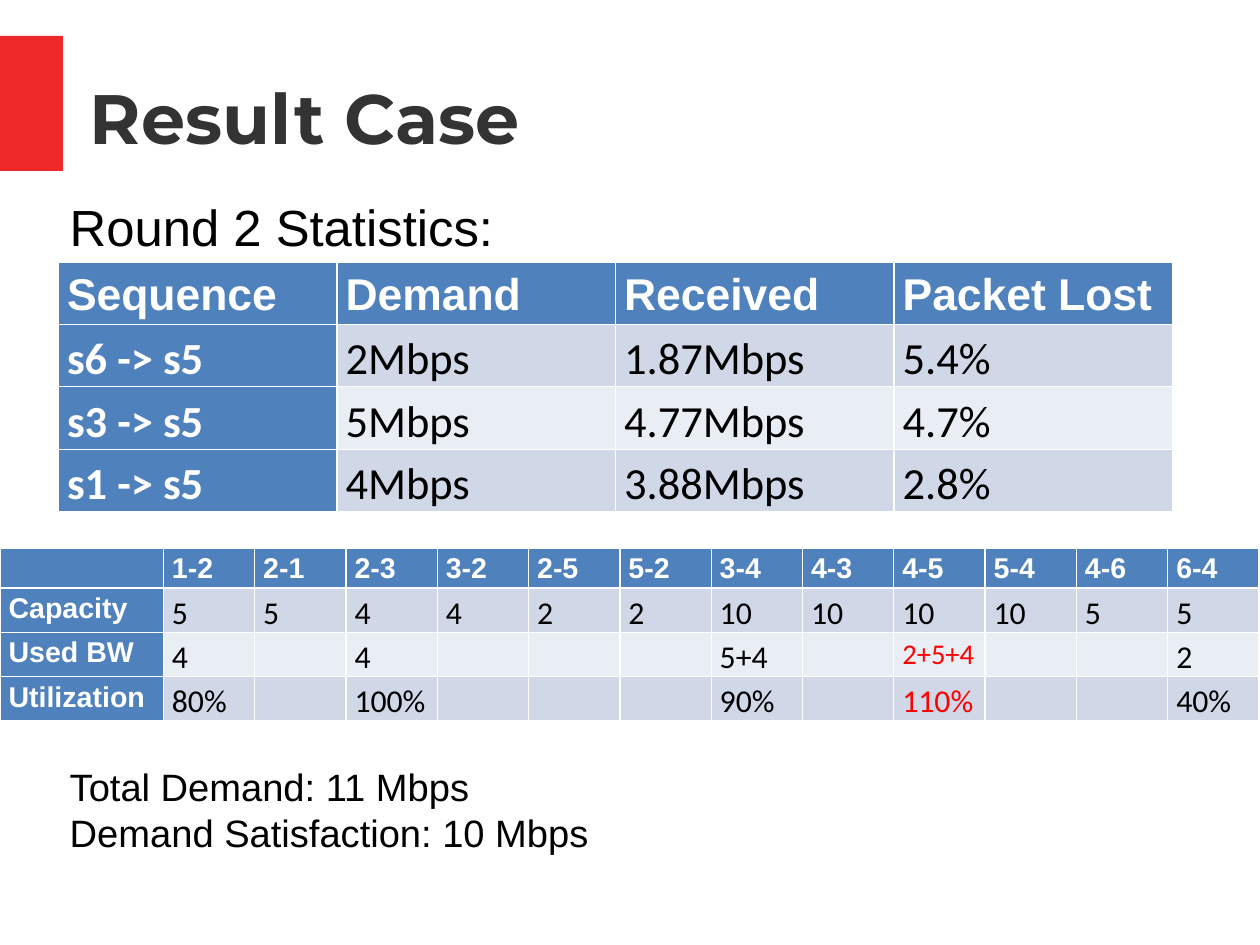
from dataclasses import dataclass
from typing import Optional

from pptx import Presentation
from pptx.dml.color import RGBColor as RGB
from pptx.enum.shapes import MSO_SHAPE as Shape
from pptx.enum.text import MSO_ANCHOR as Anchor
from pptx.slide import Slide
from pptx.util import Cm, Pt


@dataclass(frozen=True)
class Theme:
    """Colours, fonts and type sizes of the slide."""
    accent: RGB = RGB(0xEF, 0x29, 0x29)
    title: RGB = RGB(0x33, 0x33, 0x33)
    text: RGB = RGB(0, 0, 0)
    head_text: RGB = RGB(255, 255, 255)
    alert: RGB = RGB(255, 0, 0)
    head: RGB = RGB(0x4F, 0x81, 0xBD)
    bands: tuple[RGB, RGB] = (RGB(0xE9, 0xED, 0xF4), RGB(0xD0, 0xD8, 0xE8))
    title_font: str = "Montserrat"
    head_font: str = "Arial"
    body_font: str = "Calibri"
    title_size: int = 44
    subtitle_size: int = 32
    total_size: int = 24
    round_size: int = 28
    link_size: int = 20
    small_size: int = 18


@dataclass(frozen=True)
class Label:
    """A text box with one paragraph per line, lengths in centimetres."""
    box: tuple[float, float, float, float]
    lines: tuple[str, ...]
    size: int
    font: str
    color: RGB
    bold: bool = False
    inset: Optional[float] = None
    wrap: bool = True
    anchor: Anchor = Anchor.TOP


@dataclass(frozen=True)
class Grid:
    """A table with a header row and a header column, lengths in centimetres."""
    left: float
    top: float
    widths: tuple[float, ...]
    heights: tuple[float, ...]
    rows: tuple[tuple[str, ...], ...]
    head_size: int
    body_size: int
    side_font: str
    alerts: tuple[tuple[str, int], ...] = ()


THEME = Theme()

LABELS = (
    Label((2, 0.84, 24.59, 3.5), ("Result Case",), THEME.title_size, THEME.title_font,
          THEME.title, bold=True, inset=0, anchor=Anchor.MIDDLE),
    Label((1.3, 4.22, 10, 1.62), ("Round 2 Statistics:",), THEME.subtitle_size,
          THEME.head_font, THEME.text, wrap=False),
    Label((1.3, 16.84, 14, 2.3), ("Total Demand: 11 Mbps", "Demand Satisfaction: 10 Mbps"),
          THEME.total_size, THEME.head_font, THEME.text),
)

ROUND = Grid(
    1.3, 5.84, (6.19,) * 4, (1.27,) + (1.39,) * 3,
    (
        ("Sequence", "Demand", "Received", "Packet Lost"),
        ("s6 -> s5", "2Mbps", "1.87Mbps", "5.4%"),
        ("s3 -> s5", "5Mbps", "4.77Mbps", "4.7%"),
        ("s1 -> s5", "4Mbps", "3.88Mbps", "2.8%"),
    ),
    THEME.round_size, THEME.round_size, THEME.body_font,
)

LINKS = Grid(
    0, 12.18, (3.63,) + (2.03,) * 12, (0.89,) + (0.98,) * 3,
    (
        ("", "1-2", "2-1", "2-3", "3-2", "2-5", "5-2", "3-4", "4-3", "4-5", "5-4", "4-6", "6-4"),
        ("Capacity", "5", "5", "4", "4", "2", "2", "10", "10", "10", "10", "5", "5"),
        ("Used BW", "4", "", "4", "", "", "", "5+4", "", "2+5+4", "", "", "2"),
        ("Utilization", "80%", "", "100%", "", "", "", "90%", "", "110%", "", "", "40%"),
    ),
    THEME.small_size, THEME.link_size, THEME.head_font,
    (("2+5+4", THEME.small_size), ("110%", THEME.link_size)),
)


def style_paragraph(p, size: int, font: str, color: RGB, bold: bool) -> None:
    """Set the font of a whole paragraph."""
    p.font.size, p.font.name, p.font.bold = Pt(size), font, bold
    p.font.color.rgb = color


def add_label(s: Slide, label: Label) -> None:
    """Draw a text box."""
    tf = s.shapes.add_textbox(*map(Cm, label.box)).text_frame
    tf.word_wrap, tf.vertical_anchor = label.wrap, label.anchor
    if label.inset is not None:
        tf.margin_left = tf.margin_right = tf.margin_top = tf.margin_bottom = Cm(label.inset)
    tf.text = "\n".join(label.lines)
    for p in tf.paragraphs:
        style_paragraph(p, label.size, label.font, label.color, label.bold)


def add_grid(s: Slide, grid: Grid) -> None:
    """Draw a table with header fills and banded body rows."""
    size = Cm(sum(grid.widths)), Cm(sum(grid.heights))
    table = s.shapes.add_table(len(grid.rows), len(grid.widths),
                               Cm(grid.left), Cm(grid.top), *size).table
    table.first_col, table.horz_banding = True, False
    for column, width in zip(table.columns, grid.widths):
        column.width = Cm(width)
    alerts = dict(grid.alerts)
    for i, (row, height) in enumerate(zip(grid.rows, grid.heights)):
        table.rows[i].height = Cm(height)
        for j, text in enumerate(row):
            cell = table.cell(i, j)
            is_head = i == 0 or j == 0
            cell.margin_left = cell.margin_right = Cm(0.19)
            cell.margin_top = cell.margin_bottom = 0
            cell.fill.solid()
            cell.fill.fore_color.rgb = THEME.head if is_head else THEME.bands[i % 2]
            cell.text = text
            p = cell.text_frame.paragraphs[0]
            p.line_spacing = 1.15
            if is_head:
                font = THEME.head_font if i == 0 else grid.side_font
                head_size = grid.head_size
                style_paragraph(p, head_size, font, THEME.head_text, True)
            else:
                color = THEME.alert if text in alerts else THEME.text
                body_size = alerts.get(text, grid.body_size)
                style_paragraph(p, body_size, THEME.body_font, color, False)


def main() -> None:
    """Build the slide and save it."""
    prs = Presentation()
    prs.slide_width, prs.slide_height = Cm(28), Cm(21)
    s = prs.slides.add_slide(prs.slide_layouts[6])
    sp = s.shapes.add_shape(Shape.RECTANGLE, 0, Cm(0.8), Cm(1.4), Cm(3))
    sp.shadow.inherit = False
    sp.fill.solid()
    sp.fill.fore_color.rgb = THEME.accent
    sp.line.fill.background()
    for label in LABELS:
        add_label(s, label)
    for grid in (ROUND, LINKS):
        add_grid(s, grid)
    prs.save("out.pptx")


if __name__ == "__main__":
    main()
